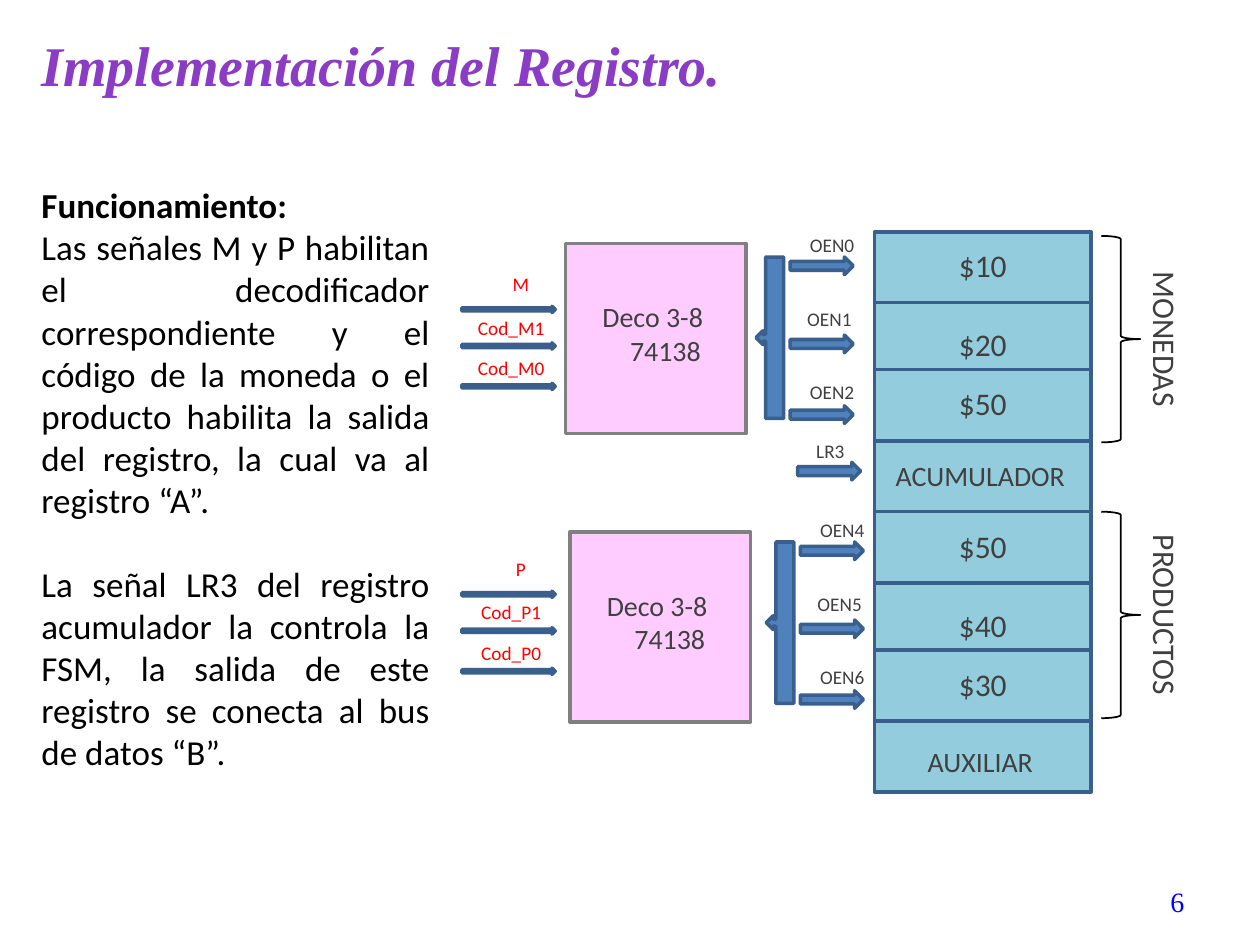
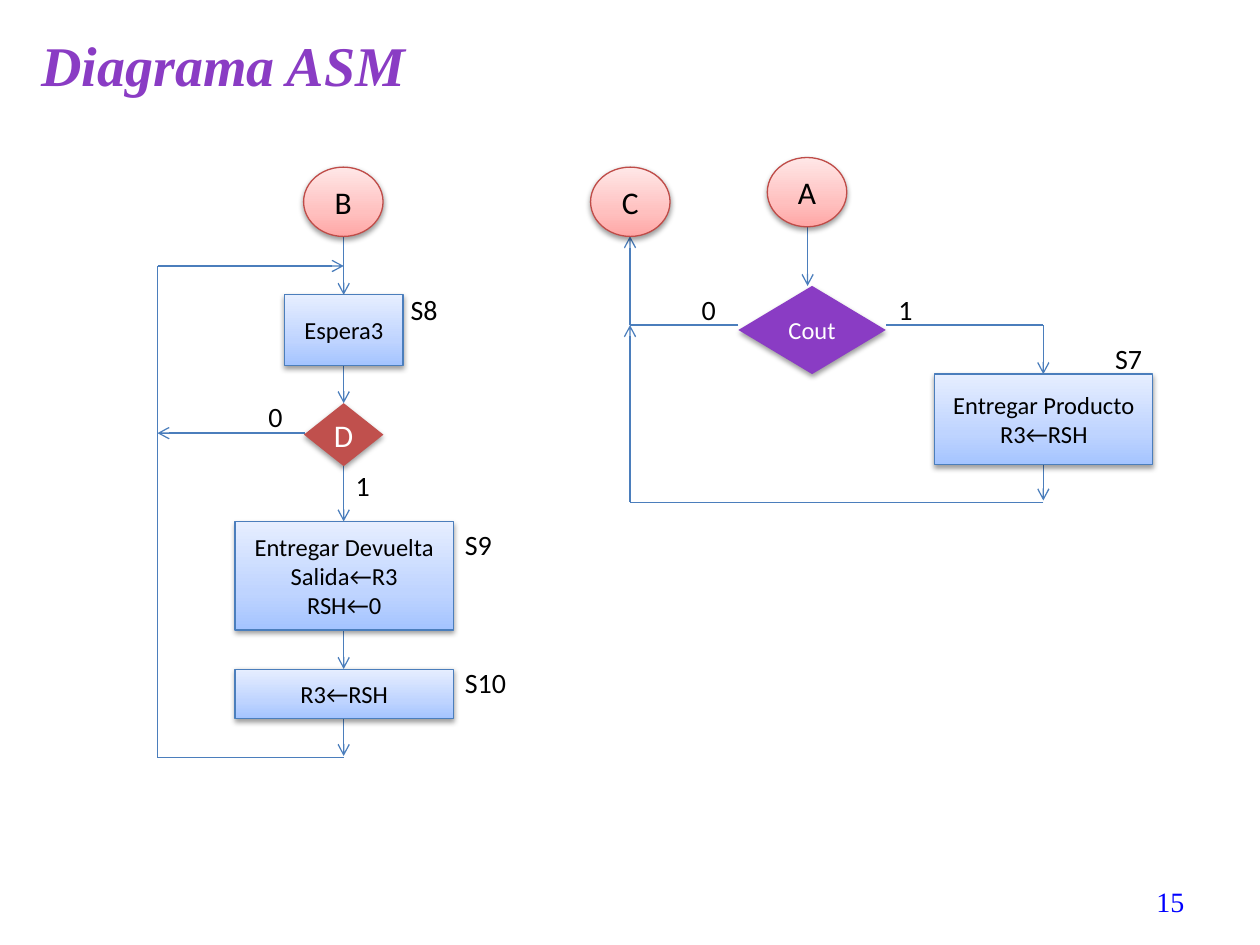
from copy import deepcopy

from lxml.etree import SubElement
from pptx import Presentation
from pptx.dml.color import RGBColor
from pptx.enum.shapes import MSO_CONNECTOR, MSO_SHAPE
from pptx.enum.text import MSO_ANCHOR, MSO_AUTO_SIZE, PP_ALIGN
from pptx.oxml.ns import qn
from pptx.util import Pt

PURPLE = RGBColor(0x8A, 0x3C, 0xC4)
BLUE = RGBColor(0x00, 0x00, 0xFF)
RED = RGBColor(0xFF, 0x00, 0x00)
BLACK = RGBColor(0x00, 0x00, 0x00)
WHITE = RGBColor(0xFF, 0xFF, 0xFF)
DARK = RGBColor(0x40, 0x40, 0x40)
GRAY = RGBColor(0x80, 0x80, 0x80)
PINK = RGBColor(0xFF, 0xCC, 0xFF)
AQUA = RGBColor(0x93, 0xCD, 0xDD)
STEEL = RGBColor(0x4F, 0x81, 0xBD)
NAVY = RGBColor(0x3A, 0x5F, 0x8C)
BRICK = RGBColor(0xC0, 0x50, 0x4D)
RUST = RGBColor(0xBF, 0x4C, 0x48)
WIRE = RGBColor(0x4B, 0x7E, 0xBC)
SKY = [RGBColor(0xA4, 0xC4, 0xFF), RGBColor(0xBF, 0xD4, 0xFF), RGBColor(0xE6, 0xEE, 0xFF)]
ROSE = [RGBColor(0xFF, 0xA6, 0xA5), RGBColor(0xFF, 0xC0, 0xBF), RGBColor(0xFF, 0xE7, 0xE7)]

LEFT, CENTER = PP_ALIGN.LEFT, PP_ALIGN.CENTER
MIDDLE, TOP = MSO_ANCHOR.MIDDLE, MSO_ANCHOR.TOP


def place(shape, *box):
    shape.left, shape.top, shape.width, shape.height = [Pt(v) for v in box]


class Deck:
    sans, serif = "Calibri", "Times New Roman"

    def __init__(self):
        self.prs = Presentation()
        self.prs.slide_width, self.prs.slide_height = Pt(720), Pt(540)
        self.slide = None

    def page(self, title, number, layout):
        """Start a slide with its title and page number."""
        self.slide = self.prs.slides.add_slide(self.prs.slide_layouts[layout])
        head = self.slide.shapes.title
        place(head, 16.5, 11.5, 612, 50.4)
        self.letter(head, title, 32, PURPLE, LEFT, MIDDLE, self.serif, 7.2)
        head.text_frame.paragraphs[0].font.bold = True
        head.text_frame.paragraphs[0].font.italic = True
        self.label(number, (516.2, 500.4, 160.6, 28.8), 16, BLUE,
                   PP_ALIGN.RIGHT, MIDDLE, self.serif)

    def letter(self, shape, text, size, color, align=CENTER, anchor=MIDDLE,
               face=sans, side=0):
        """Set the text of a shape and format it."""
        frame = shape.text_frame
        frame.text = text
        frame.word_wrap = True
        frame.auto_size = MSO_AUTO_SIZE.NONE
        frame.vertical_anchor = anchor
        frame.margin_left = frame.margin_right = Pt(side)
        for par in frame.paragraphs:
            par.alignment = align
            font = par.font
            font.name, font.size, font.color.rgb = face, Pt(size), color

    def label(self, text, box, size=16, color=BLACK, align=CENTER,
              anchor=TOP, face=sans):
        shape = self.slide.shapes.add_textbox(*[Pt(v) for v in box])
        self.letter(shape, text, size, color, align, anchor, face)
        return shape

    def body(self, parts, box):
        """Fill the body placeholder with plain, justified paragraphs."""
        shape = self.slide.placeholders[1]
        place(shape, *box)
        self.letter(shape, "\n".join(parts), 20, BLACK, PP_ALIGN.JUSTIFY, TOP, side=7.2)
        for par in shape.text_frame.paragraphs:
            props = par._p.get_or_add_pPr()
            props.set("marL", "0")
            props.set("indent", "0")
            par.space_before = Pt(0)
            props.insert_element_before(props.makeelement(qn("a:buNone"), {}),
                                        "a:tabLst", "a:defRPr", "a:extLst")
        return shape.text_frame.paragraphs

    def shape(self, kind, box, fill=None, line=None, width=2):
        item = self.slide.shapes.add_shape(kind, *[Pt(v) for v in box])
        item.shadow.inherit = False
        if fill is None:
            item.fill.background()
        elif isinstance(fill, list):
            self.blend(item, fill)
        else:
            item.fill.solid()
            item.fill.fore_color.rgb = fill
        if line is None:
            item.line.fill.background()
        else:
            item.line.color.rgb = line
            item.line.width = Pt(width)
        return item

    def blend(self, item, colors):
        """Three-stop gradient, darkest at the foot."""
        item.fill.gradient()
        item.fill.gradient_angle = 90
        stops = item.element.spPr.find(qn("a:gradFill")).find(qn("a:gsLst"))
        stops.append(deepcopy(stops[-1]))
        for stop, color, spot in zip(item.fill.gradient_stops, colors, (0, 0.35, 1)):
            stop.color.rgb = color
            stop.position = spot

    def node(self, kind, box, text, size, fill, line=None, color=BLACK):
        """Flow chart step with a soft shadow."""
        item = self.shape(kind, box, fill, line, 0.75)
        effects = item.element.spPr.find(qn("a:effectLst"))
        shade = SubElement(effects, qn("a:outerShdw"), blurRad=str(Pt(3.1)),
                           dist=str(Pt(1.6)), dir="5400000", rotWithShape="0")
        tint = SubElement(shade, qn("a:srgbClr"), val="000000")
        SubElement(tint, qn("a:alpha"), val="38000")
        self.letter(item, text, size, color)

    def wire(self, x1, y1, x2, y2, arrow=True):
        line = self.slide.shapes.add_connector(
            MSO_CONNECTOR.STRAIGHT, Pt(x1), Pt(y1), Pt(x2), Pt(y2))
        line.line.color.rgb = WIRE
        line.line.width = Pt(0.75)
        props = line.element.spPr
        if arrow:
            SubElement(props.find(qn("a:ln")), qn("a:tailEnd"), type="arrow")
        SubElement(props, qn("a:effectLst"))

    def arrow(self, x, y, w, h):
        self.shape(MSO_SHAPE.RIGHT_ARROW, (x, y, w, h), STEEL, NAVY)

    def bank(self, sign, first, deco, bus, top):
        """Decoder with its three inputs and three output enables."""
        x, y = deco
        self.shape(MSO_SHAPE.FLOWCHART_PROCESS, (x, y, 103, 108.7), PINK, GRAY)
        name = self.label("Deco 3-8\n74138", (x + 13, y + 28.8, 73.4, 46), 16, DARK)
        chip = name.text_frame.paragraphs[1]
        chip._p.get_or_add_pPr().set("marL", str(Pt(14.5)))

        inputs = [(sign, 7, 0, 0), (f"Cod_{sign}1", 1.5, 24.9, 20.9),
                  (f"Cod_{sign}0", 1.5, 48.2, 44)]
        for text, dx, dy, step in inputs:
            self.arrow(264, top + step, 53.3, 3.6)
            self.label(text, (264 + dx, top - 23 + dy, 53.3, 20.9), 11, RED)

        x, y = bus
        self.shape(MSO_SHAPE.LEFT_ARROW_CALLOUT, (x, y, 15.8, 92.2), STEEL, NAVY)
        for i, (dx, dy, gap) in enumerate([(19, 0, 17.3), (17.5, 44.6, 19.4),
                                           (19, 85, 18)]):
            self.arrow(x + 19.6, y + dy, 36, 10.1)
            self.label(f"OEN{first + i}", (x + dx, y + dy - gap, 49, 20.9), 11, DARK)


def draw_store(deck):
    deck.page("Implementación del Registro.", "6", 1)

    # Decoders and signals
    deck.bank("M", 0, (323.3, 139), (432, 146.9), 175)
    deck.bank("P", 4, (325.8, 303.9), (437.8, 309.7), 337.8)
    deck.arrow(455.8, 264.2, 36, 10.1)
    deck.label("LR3", (450, 247.7, 49, 20.9), 11, DARK)

    # Register stack: text, size, row top, label offset
    rows = [("$10", 18, 132.5, 4.5), ("$20", 18, 172.8, 9.4),
            ("$50", 18, 211.2, 5), ("ACUMULADOR", 16, 252, 6.5),
            ("$50", 18, 292.4, 5), ("$40", 18, 333.2, 9.4),
            ("$30", 18, 371.3, 5), ("AUXILIAR", 16, 412, 10)]
    for text, size, y, dy in rows:
        deck.shape(MSO_SHAPE.FLOWCHART_PROCESS, (499.7, y, 123.8, 40.5), AQUA, NAVY)
    for text, size, y, dy in rows:
        wide = 123.8 if size == 18 else 121
        deck.label(text, (499.7, y + dy, wide, 28.8), size, DARK)

    # Braces
    for text, y in (("MONEDAS", 134.8), ("PRODUCTOS", 292.4)):
        deck.shape(MSO_SHAPE.RIGHT_BRACE, (629.3, y, 22.3, 118), None, BLACK, 1)
        side = deck.label(text, (612.7, y + 44.6, 106.6, 28.8), 18, DARK)
        side.rotation = 90

    # Explanation
    pars = deck.body([
        "Funcionamiento:",
        "Las señales M y P habilitan el decodificador correspondiente y el código "
        "de la moneda o el producto habilita la salida del registro, la cual va al "
        "registro “A”.",
        "La señal LR3 del registro acumulador la controla la FSM, la salida de este "
        "registro se conecta al bus de datos “B”."], (16.5, 101.5, 236.2, 395.3))
    pars[0].font.bold = True
    pars[2].space_before = Pt(24)


def draw_chart(deck):
    deck.page("Diagrama ASM", "15", 5)

    # Wires of the left loop
    mid, loop = 196.4, 90
    for y1, y2 in ((134.8, 168.5), (208, 230.4), (264.4, 298), (360, 382.3),
                   (410.4, 432)):
        deck.wire(mid, y1, mid, y2)
    deck.wire(mid, 433, loop, 433, False)
    deck.wire(loop, 433, loop, 152, False)
    deck.wire(loop, 152, mid, 152)
    deck.wire(174.2, 247.5, loop, 247.5)

    # Wires of the right branch
    back, give = 360, 596.2
    deck.wire(461.5, 129.6, 461.5, 163.4)
    deck.wire(422, 185.8, back, 185.8, False)
    deck.wire(back, 185.8, back, 135)
    deck.wire(give, 185.8, 506.2, 185.8, False)
    deck.wire(give, 185.8, give, 213.8)
    deck.wire(give, 264.2, give, 286)
    deck.wire(give, 287, back, 287, False)
    deck.wire(back, 287, back, 185.8)

    # Entry and exit points
    for text, x, y in (("A", 438.5, 90), ("B", 173.5, 95.5), ("C", 337.5, 95.5)):
        deck.node(MSO_SHAPE.OVAL, (x, y, 45.4, 39.6), text, 18, ROSE, RUST)

    # Decisions
    deck.node(MSO_SHAPE.DIAMOND, (422, 163.4, 84.2, 50.4), "Cout", 14, PURPLE, color=WHITE)
    deck.node(MSO_SHAPE.DIAMOND, (173.7, 230.4, 45.4, 36), "D", 18, BRICK, color=WHITE)

    # States
    for text, *box in (("Espera3", 162.7, 168.5, 67.7, 40.3),
                       ("Entregar Devuelta\nSalida←R3\nRSH←0", 134.4, 298, 124.6, 62),
                       ("R3←RSH", 134.4, 382.4, 124.6, 28.1),
                       ("Entregar Producto\nR3←RSH", 534.2, 213.8, 124.6, 51.8)):
        deck.node(MSO_SHAPE.RECTANGLE, box, text, 14, SKY, WIRE)

    # State names and branch values
    for text, x, y in (("S7", 637.2, 191.5), ("S8", 234.7, 163.4), ("S9", 265.7, 298),
                       ("S10", 265.7, 376.6), ("0", 401, 163.4), ("1", 513.4, 163.4),
                       ("0", 153.4, 224.6), ("1", 203.2, 264.2)):
        deck.label(text, (x, y, 30, 26.6), align=LEFT)


def main():
    deck = Deck()
    draw_store(deck)
    draw_chart(deck)
    deck.prs.save("out.pptx")


if __name__ == "__main__":
    main()
